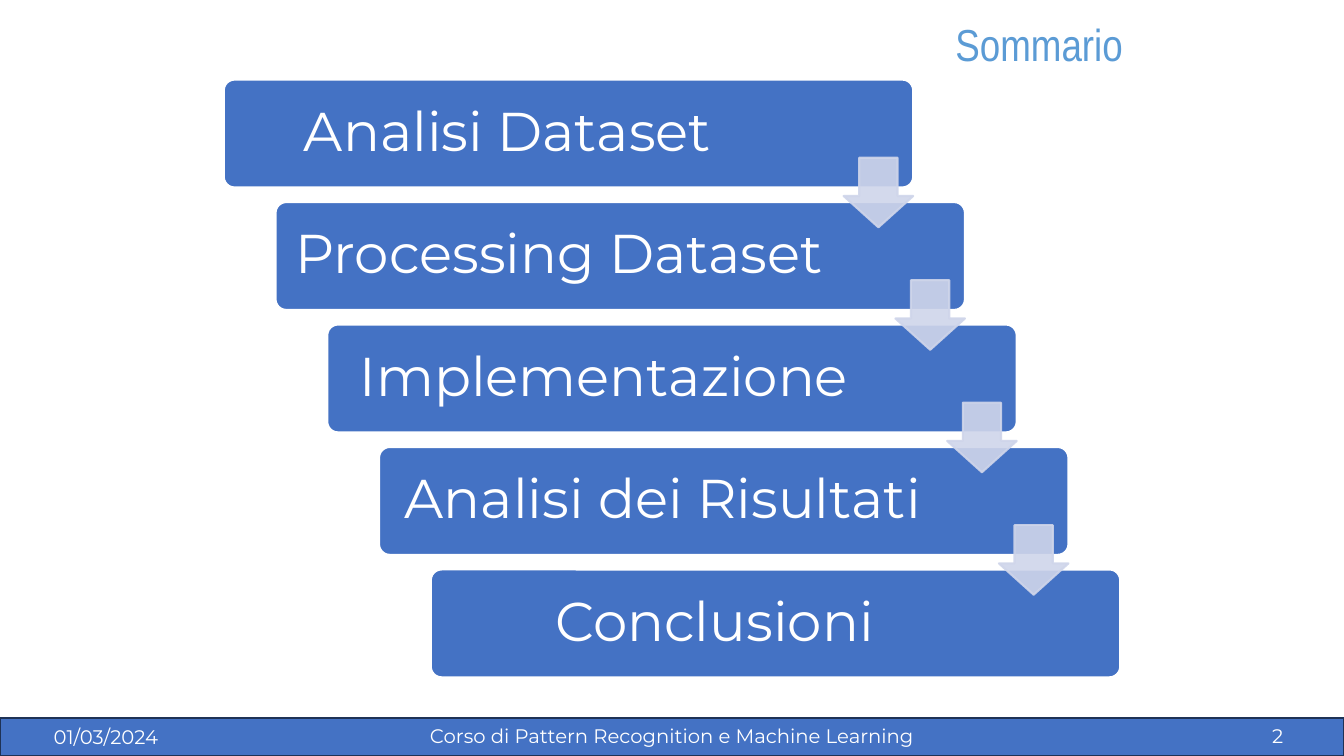
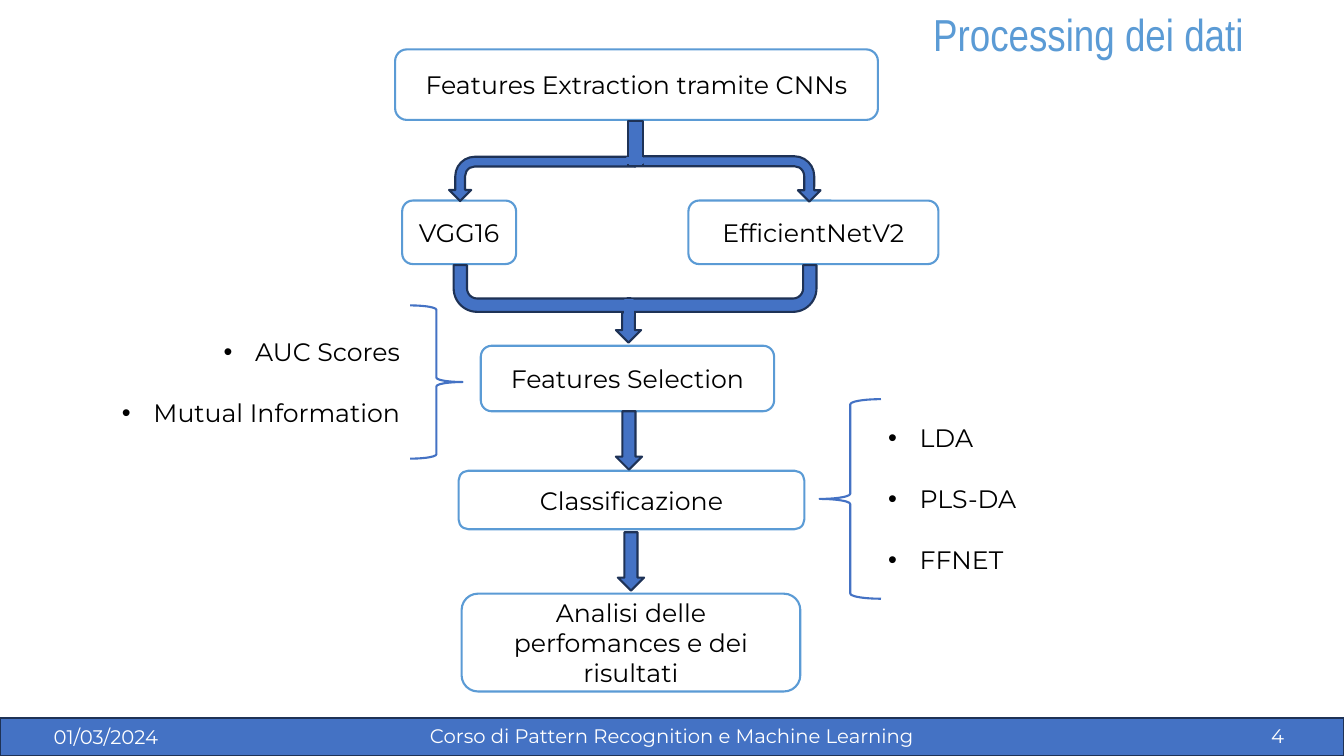
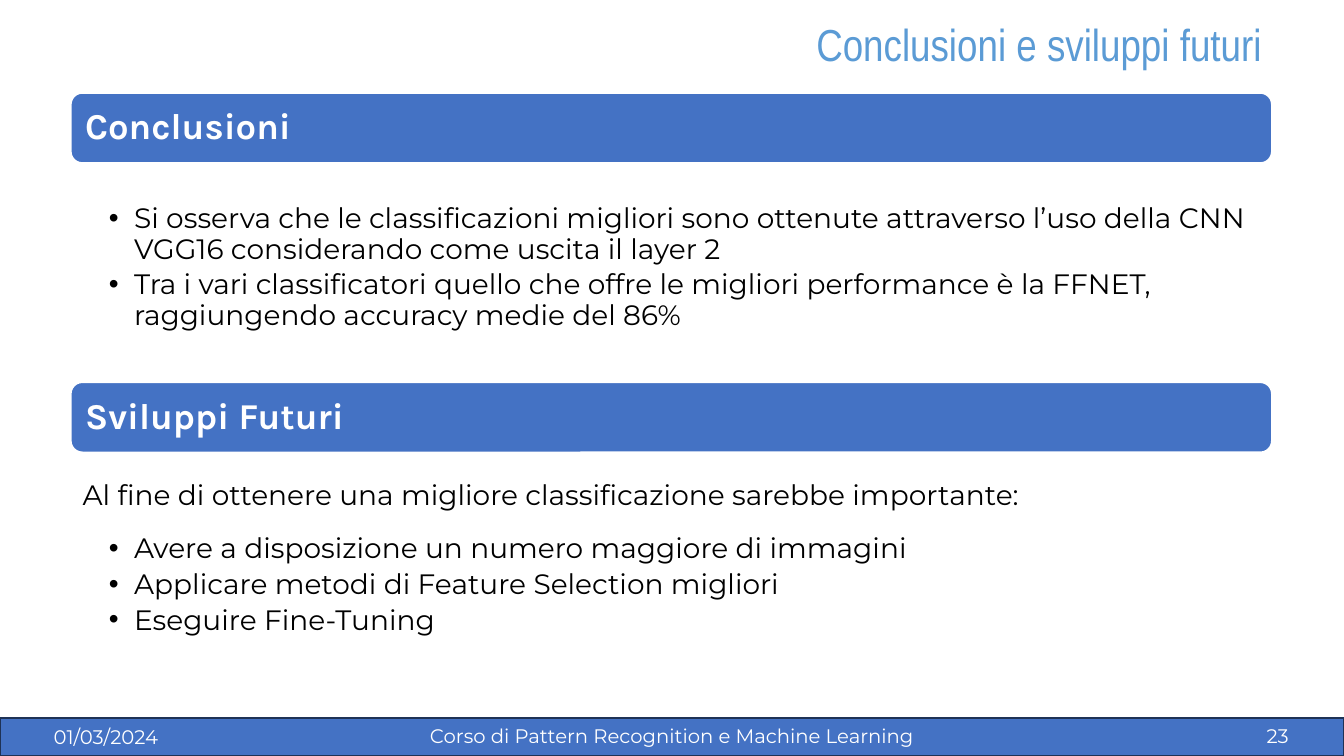
import dataclasses

import pptx
import pptx.dml.color
import pptx.enum.shapes
import pptx.enum.text
import pptx.oxml
import pptx.oxml.ns
import pptx.util

KIND = pptx.enum.shapes.MSO_SHAPE
ALIGN = pptx.enum.text.PP_ALIGN
TOP = pptx.enum.text.MSO_ANCHOR.TOP
MID = pptx.enum.text.MSO_ANCHOR.MIDDLE


@dataclasses.dataclass(frozen=True)
class Theme:
    blue: str = "4472C4"
    navy: str = "1E3256"
    sky: str = "5B9BD5"
    mist: str = "CFD5EA"
    white: str = "FFFFFF"
    black: str = "000000"
    body: str = "Montserrat"
    slim: str = "Arial Narrow"
    bold: str = "Karla"
    small: int = 14
    label: int = 18
    text: int = 20
    head: int = 26
    title: int = 32
    step: int = 39
    line: float = 1.5


class Deck:
    """Draws slides on a grid of 80 columns by 45 rows, with boxes as left, top, width, height."""

    def __init__(self, theme):
        self.look = theme
        self.prs = pptx.Presentation()
        self.prs.slide_width = pptx.util.Inches(13.33)
        self.prs.slide_height = pptx.util.Inches(7.5)
        self.col = self.prs.slide_width / 80
        self.row = self.prs.slide_height / 45
        self.page = None

    def place(self, box):
        left, top, wide, high = box
        return (round(left * self.col), round(top * self.row),
                round(wide * self.col), round(high * self.row))

    def start(self, title, number, box=(44.82, 1.08, 34.08, 6.3)):
        look = self.look
        self.page = self.prs.slides.add_slide(self.prs.slide_layouts[6])
        self.shape(KIND.RECTANGLE, (0, 42.74, 80, 2.26), look.blue, look.navy)
        for words, spot, anchor in (
            ("01/03/2024", (0, 42.84, 12.6, 2.04), TOP),
            ("Corso di Pattern Recognition e Machine Learning", (19, 42.78, 42, 2.04), TOP),
            (number, (73.26, 42.72, 5.58, 2.16), MID),
        ):
            self.text(spot, [words], look.small, look.white, align=ALIGN.CENTER, anchor=anchor)
        self.text(box, [title], look.title, look.sky, look.slim, ALIGN.CENTER, lead=0.9)

    def shape(self, kind, box, fill=None, line=None, adj=(), turn=0, flip=False, alpha=None):
        item = self.page.shapes.add_shape(kind, *self.place(box))
        item.shadow.inherit = False
        for pos, share in enumerate(adj):
            item.adjustments[pos] = share
        if fill:
            item.fill.solid()
            item.fill.fore_color.rgb = pptx.dml.color.RGBColor.from_string(fill)
        else:
            item.fill.background()
        item.line.color.rgb = pptx.dml.color.RGBColor.from_string(line)
        item.line.width = pptx.util.Pt(self.look.line)
        item.rotation = turn
        if flip:
            item.element.spPr.find(pptx.oxml.ns.qn("a:xfrm")).set("flipH", "1")
        if alpha:
            for tint in item.element.spPr.iter(pptx.oxml.ns.qn("a:srgbClr")):
                mark = pptx.oxml.parse_xml(
                    f'<a:alpha {pptx.oxml.ns.nsdecls("a")} val="{alpha * 1000}"/>')
                tint.append(mark)
        return item

    def text(self, box, lines, size, color, font=None, align=ALIGN.LEFT, **more):
        item = self.page.shapes.add_textbox(*self.place(box))
        self.pour(item, lines, size, color, font, align, **more)

    def pour(self, item, lines, size, color, font=None, align=ALIGN.LEFT, anchor=TOP,
             pad=(0.6, 0.3, 0.6, 0.3), lead=None, gap=0, hang=0):
        frame = item.text_frame
        frame.word_wrap = True
        frame.vertical_anchor = anchor
        left, top, right, base = pad
        frame.margin_left, frame.margin_right = round(left * self.col), round(right * self.col)
        frame.margin_top, frame.margin_bottom = round(top * self.row), round(base * self.row)
        for pos, words in enumerate(lines):
            para = frame.add_paragraph() if pos else frame.paragraphs[0]
            if hang:
                self.dot(para, hang)
            para.alignment = align
            if lead:
                para.line_spacing = lead
            if pos:
                para.space_before = pptx.util.Pt(gap)
            run = para.add_run()
            run.text = words
            run.font.size = pptx.util.Pt(size)
            run.font.name = font or self.look.body
            run.font.bold = font == self.look.bold
            run.font.color.rgb = pptx.dml.color.RGBColor.from_string(color)

    def dot(self, para, hang):
        props = para._p.get_or_add_pPr()
        props.set("marL", str(round(hang * self.col)))
        props.set("indent", str(round(-hang * self.col)))
        space = pptx.oxml.ns.nsdecls("a")
        props.append(pptx.oxml.parse_xml(f'<a:buFont {space} typeface="Arial"/>'))
        props.append(pptx.oxml.parse_xml(f'<a:buChar {space} char="•"/>'))

    def step(self, box, words):
        look = self.look
        item = self.shape(KIND.ROUNDED_RECTANGLE, box, look.blue, look.white, [0.1])
        self.pour(item, [words], look.step, look.white, align=ALIGN.CENTER, anchor=MID,
                  pad=(0.84, 0.84, 8.1, 0.84), lead=0.9)

    def node(self, box, words):
        look = self.look
        item = self.shape(KIND.ROUNDED_RECTANGLE, box, look.white, look.sky)
        self.pour(item, [words], look.label, look.black, align=ALIGN.CENTER, anchor=MID)

    def arrow(self, kind, box, **more):
        self.shape(kind, box, self.look.blue, self.look.navy, **more)

    def patch(self, box, color):
        self.shape(KIND.RECTANGLE, box, color, color)

    def brace(self, kind, box):
        self.shape(kind, box, line=self.look.blue)

    def notes(self, box, lines, align=ALIGN.LEFT):
        self.text(box, lines, self.look.label, self.look.black, align=align, gap=22, hang=1.88)

    def head(self, top, words):
        look = self.look
        item = self.shape(KIND.ROUNDED_RECTANGLE, (4.2, top, 71.52, 4.2), look.blue, look.white)
        self.pour(item, [words], look.head, look.white, look.bold, anchor=MID,
                  pad=(0.66, 0.66, 0.66, 0.66), lead=0.9)

    def points(self, top, high, lines):
        self.text((4.2, top, 71.52, high), lines, self.look.text, self.look.black,
                  pad=(2.28, 0.18, 0.96, 0.18), lead=0.9, gap=4, hang=1.5)


def agenda(deck):
    deck.start("Sommario", "2")
    steps = ("Analisi Dataset", "Processing Dataset", "Implementazione ",
             "Analisi dei Risultati", "Conclusioni")
    spots = [(13.32 + 3.08 * pos, 4.74 + 7.29 * pos) for pos in range(len(steps))]
    for (left, top), words in zip(spots, steps):
        deck.step((left, top, 41.04, 6.42), words)
    for left, top in spots[:-1]:
        deck.shape(KIND.DOWN_ARROW, (left + 36.9, top + 4.65, 4.14, 4.14),
                   deck.look.mist, deck.look.mist, [0.55, 0.45], alpha=90)


def process(deck):
    deck.start("Processing dei dati", "4", (49.6, 0.48, 30.4, 3.78))
    for box, words in (
        ((23.52, 2.94, 28.74, 4.2), "Features Extraction tramite CNNs"),
        ((28.62, 20.58, 17.46, 3.9), "Features Selection"),
        ((27.3, 28.02, 20.58, 3.48), "Classificazione"),
        ((23.94, 11.94, 6.78, 3.78), "VGG16"),
        ((40.98, 11.94, 14.88, 3.78), "EfficientNetV2"),
        ((27.48, 35.34, 20.16, 5.82), "Analisi delle perfomances e dei risultati"),
    ):
        deck.node(box, words)
    split, merge = (0.22, 0.25, 0.25, 0.44), (0.25, 0.25, 0, 0.44)
    for box, adj, turn, flip in (
        ((41.94, 5.1, 2.7, 11.1), split, 90, False),
        ((30.96, 5.1, 2.64, 11.1), split, 270, True),
        ((37.5, 15.78, 11.1, 3.18), merge, 180, False),
        ((27, 15.78, 10.38, 3.18), merge, 180, True),
    ):
        deck.arrow(KIND.BENT_ARROW, box, adj=adj, turn=turn, flip=flip)
    deck.arrow(KIND.RECTANGLE, (37.38, 7.2, 0.9, 2.7))
    for box in ((36.66, 18.6, 1.5, 1.8), (36.66, 24.48, 1.56, 3.48), (36.78, 31.68, 1.56, 3.48)):
        deck.arrow(KIND.DOWN_ARROW, box)
    deck.patch((36.96, 15.84, 1.56, 1.8), deck.look.white)
    deck.patch((37.2, 17.88, 0.48, 0.96), deck.look.blue)
    deck.patch((37.32, 9.42, 0.96, 0.3), deck.look.blue)
    deck.brace(KIND.LEFT_BRACE, (48.78, 23.76, 3.66, 11.88))
    deck.brace(KIND.RIGHT_BRACE, (24.42, 18.18, 3.12, 9.12))
    deck.notes((52.26, 24.84, 11.04, 9.72), ["LDA", "PLS-DA", "FFNET"])
    deck.notes((6, 19.74, 18.42, 6.06), ["AUC Scores", "Mutual Information"], ALIGN.RIGHT)


def closing(deck):
    deck.start("Conclusioni e sviluppi futuri", "23")
    deck.head(5.52, "Conclusioni")
    deck.points(12, 10.5, [
        "Si osserva che le classificazioni migliori sono ottenute attraverso l’uso della CNN "
        "VGG16 considerando come uscita il layer 2",
        "Tra i vari classificatori quello che offre le migliori performance è la FFNET, "
        "raggiungendo accuracy medie del 86%",
    ])
    deck.head(22.74, "Sviluppi Futuri")
    deck.text((4.44, 27.66, 71.16, 3.78),
              ["Al fine di ottenere una migliore classificazione sarebbe importante:"],
              deck.look.text, deck.look.black, anchor=MID, pad=(0.48, 0.48, 0.48, 0.48), lead=0.9)
    deck.points(31.62, 6.72, [
        "Avere a disposizione un numero maggiore di immagini",
        "Applicare metodi di Feature Selection migliori",
        "Eseguire Fine-Tuning",
    ])


def main():
    deck = Deck(Theme())
    for build in (agenda, process, closing):
        build(deck)
    deck.prs.save("out.pptx")


if __name__ == "__main__":
    main()
